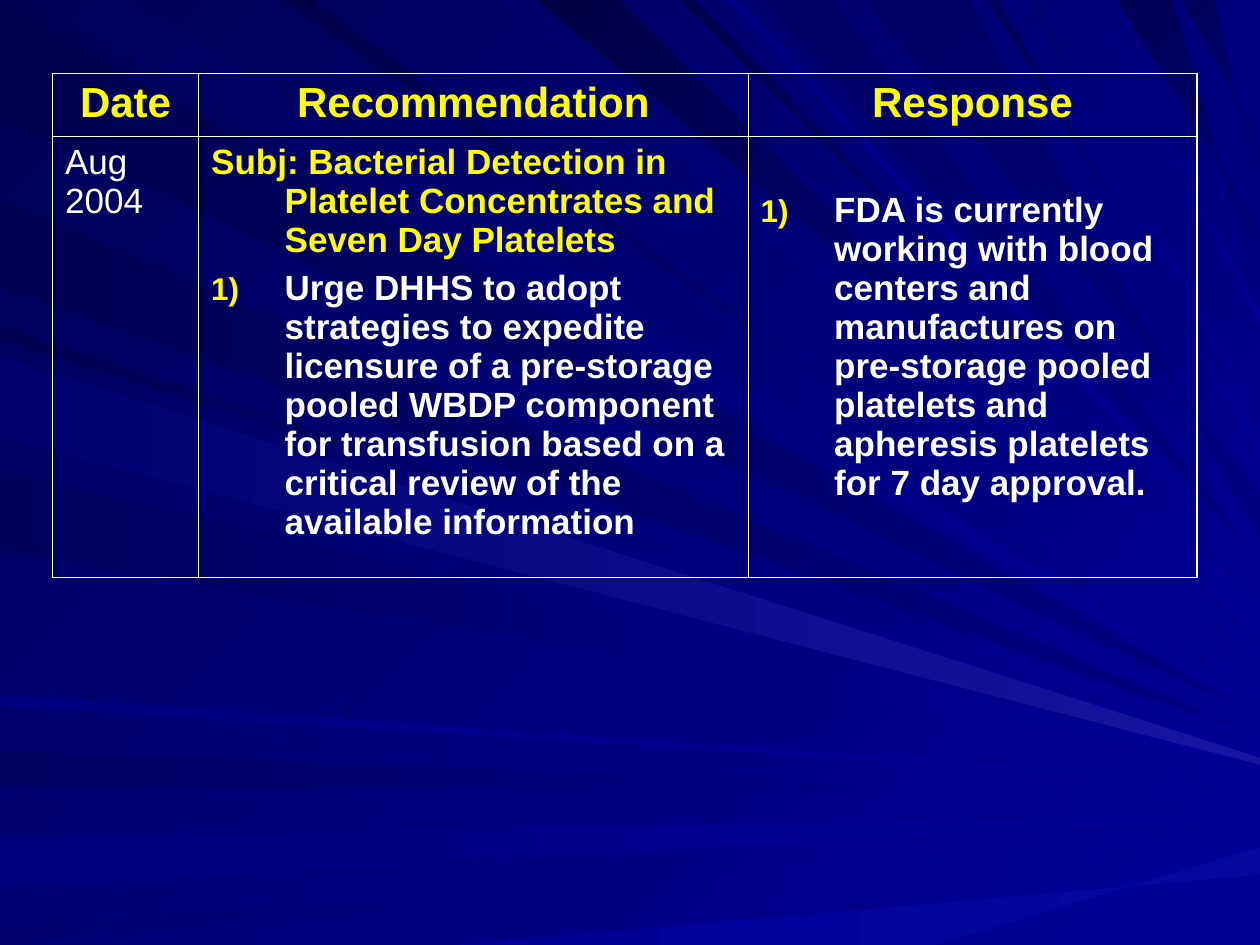
from typing import NamedTuple, Optional

from lxml import etree
from pptx import Presentation
from pptx import util as u
from pptx.dml import color as dml
from pptx.enum import text
from pptx.oxml import ns

WIDTH, HEIGHT = 720, 540
YELLOW, WHITE = "FFFF00", "FFFFFF"
BRIGHT, MEDIUM, PALE = "000099", "000080", "1616A1"
OUTER, INNER = 1.08, 0.45  # table rule widths
HANGING = 42
MARGIN = 3.6
# Gradient direction by the edge a ray leaves from, counter-clockwise
DIRECTIONS = {"top": 135, "left": 180, "bottom": 180}


class Ray(NamedTuple):
    """A beam from a stretch of one slide edge to the right edge."""
    edge: str
    start: float
    end: float
    tip: float
    dark: str
    bright: str = BRIGHT
    tip_width: float = 0


class Entry(NamedTuple):
    words: str
    size: float = 20
    color: str = WHITE
    bold: bool = True
    align: Optional[text.PP_ALIGN] = None
    hanging: bool = False
    numbered: bool = False


class Column(NamedTuple):
    width: float
    heading: str
    entries: list
    top_margin: float = MARGIN


RAYS = [
    Ray("left", 1, 67, 410, "000051", MEDIUM),
    Ray("top", 19, 73, 405, "00005C"),
    Ray("left", 429, 449, 455, "000060"),
    Ray("left", 479, 507, 466, "00007C"),
    Ray("left", 529, 540, 477, "00006E"),
    Ray("bottom", 262, 534, 492, BRIGHT, "07079B", tip_width=16),
    Ray("left", 186, 194, 424, "000053"),
    Ray("left", 114, 164, 421, "000055", MEDIUM),
    Ray("top", 287, 300, 373, "00006A", tip_width=4),
    Ray("top", 307, 354, 355, "000046", tip_width=20),
    Ray("top", 389, 397, 333, "00004E"),
    Ray("top", 436, 476, 321, "000064", MEDIUM),
    Ray("top", 639, 670, 151, "000055", MEDIUM, tip_width=39),
    Ray("top", 676, 694, 101, "000059", MEDIUM, tip_width=38),
    Ray("left", 200, 246, 432, "000060"),
    Ray("left", 269, 315, 436, "00005C"),
    Ray("left", 397, 403, 448, "000081"),
    Ray("top", 162, 178, 396, "00004A", tip_width=4),
    Ray("top", 415, 423, 327, "000081"),
    Ray("top", 494, 554, 295, "000064", MEDIUM, tip_width=27),
    Ray("top", 565, 570, 257, "000057", tip_width=4),
    Ray("top", 587, 593, 242, "00006E"),
    Ray("top", 623, 628, 183, "000078", tip_width=6),
    Ray("left", 204, 250, 435, "00006E", PALE, tip_width=4),
]

COLUMNS = [
    Column(83.5, "Date", [Entry("Aug 2004", bold=False)]),
    Column(314, "Recommendation", [
        Entry("Subj: Bacterial Detection in Platelet Concentrates and Seven Day Platelets",
              color=YELLOW, hanging=True),
        Entry("Urge DHHS to adopt strategies to expedite licensure of a pre-storage pooled WBDP "
              "component for transfusion based on a critical review of the available information",
              hanging=True, numbered=True),
    ]),
    Column(256.5, "Response", [
        Entry("FDA is currently working with blood centers and manufactures on pre-storage pooled "
              "platelets and apheresis platelets for 7 day approval.", hanging=True, numbered=True),
    ], top_margin=31),
]
ROW_HEIGHTS = [36, 252]


def rgb(value: str) -> dml.RGBColor:
    return dml.RGBColor.from_string(value)


def apply_gradient(fill, bright: str, dark: str, angle: int) -> None:
    fill.gradient()
    fill.gradient_angle = angle
    for stop, value in zip(fill.gradient_stops, (bright, dark)):
        stop.color.rgb = rgb(value)


def edge_point(edge: str, distance: float) -> tuple:
    places = {"top": (distance, 0), "left": (0, distance), "bottom": (distance, HEIGHT)}
    return places[edge]


def draw_ray(shapes, ray: Ray) -> None:
    half = ray.tip_width / 2
    tips = [(WIDTH, ray.tip - half), (WIDTH, ray.tip + half)]
    if ray.edge == "top":
        tips.reverse()
    base = [edge_point(ray.edge, ray.start), edge_point(ray.edge, ray.end)]
    if ray.edge != "left":
        tips = sorted(tips, reverse=True)
    else:
        base.reverse()
    if ray.edge == "bottom":
        base.reverse()
    corners = [(u.Pt(x), u.Pt(y)) for x, y in base + tips]
    builder = shapes.build_freeform(*corners[0], scale=1.0)
    builder.add_line_segments(corners[1:], close=True)
    shape = builder.convert_to_shape()
    shape.shadow.inherit = False
    shape.line.fill.background()
    apply_gradient(shape.fill, ray.bright, ray.dark, DIRECTIONS[ray.edge])


def add_number(properties) -> None:
    bullet_color = etree.SubElement(properties, ns.qn("a:buClr"))
    etree.SubElement(bullet_color, ns.qn("a:srgbClr"), val=YELLOW)
    etree.SubElement(properties, ns.qn("a:buSzPct"), val="90000")
    etree.SubElement(properties, ns.qn("a:buFont"), typeface="Arial")
    etree.SubElement(properties, ns.qn("a:buAutoNum"), type="arabicParenR")


def write_entry(paragraph, entry: Entry, first: bool) -> None:
    properties = paragraph._p.get_or_add_pPr()
    if entry.hanging:
        properties.set("marL", str(u.Pt(HANGING)))
        properties.set("indent", str(-u.Pt(HANGING)))
    if entry.numbered:
        add_number(properties)
    paragraph.alignment = entry.align
    paragraph.space_before = u.Pt(0 if first else 5)
    run = paragraph.add_run()
    run.text = entry.words
    formats = {"name": "Arial", "size": u.Pt(entry.size), "bold": entry.bold}
    for name, value in formats.items():
        setattr(run.font, name, value)
    run.font.color.rgb = rgb(entry.color)


def add_borders(cell, widths: dict) -> None:
    properties = cell._tc.get_or_add_tcPr()
    for position, (side, width) in enumerate(widths.items()):
        line = etree.Element(ns.qn(f"a:ln{side}"), w=str(u.Pt(width)))
        fill = etree.SubElement(line, ns.qn("a:solidFill"))
        etree.SubElement(fill, ns.qn("a:srgbClr"), val=WHITE)
        properties.insert(position, line)


def fill_cell(cell, entries: list, top_margin: float = MARGIN) -> None:
    cell.margin_top = u.Pt(top_margin)
    cell.fill.background()
    frame = cell.text_frame
    for index, entry in enumerate(entries):
        paragraph = frame.add_paragraph() if index else frame.paragraphs[0]
        write_entry(paragraph, entry, first=index == 0)


def draw_table(slide) -> None:
    width = sum(column.width for column in COLUMNS)
    frame = slide.shapes.add_table(len(ROW_HEIGHTS), len(COLUMNS), u.Pt(30), u.Pt(42),
                                   u.Pt(width), u.Pt(sum(ROW_HEIGHTS)))
    table = frame.table
    table.first_row = table.horz_banding = False
    for row, height in zip(table.rows, ROW_HEIGHTS):
        row.height = u.Pt(height)
    last = len(COLUMNS) - 1
    for index, column in enumerate(COLUMNS):
        table.columns[index].width = u.Pt(column.width)
        heading = Entry(column.heading, size=24, color=YELLOW, align=text.PP_ALIGN.CENTER)
        fill_cell(table.cell(0, index), [heading])
        fill_cell(table.cell(1, index), column.entries, column.top_margin)
        for row in range(2):
            outer_sides = {"L": index == 0, "R": index == last, "T": row == 0, "B": row == 1}
            add_borders(table.cell(row, index),
                        {side: OUTER if outer else INNER for side, outer in outer_sides.items()})


def main() -> None:
    presentation = Presentation()
    presentation.slide_width, presentation.slide_height = u.Pt(WIDTH), u.Pt(HEIGHT)
    slide = presentation.slides.add_slide(presentation.slide_layouts[6])

    # Background with light rays
    apply_gradient(slide.background.fill, BRIGHT, "000057", DIRECTIONS["top"])
    rays = slide.shapes.add_group_shape()
    for ray in RAYS:
        draw_ray(rays.shapes, ray)

    # Recommendation table
    draw_table(slide)
    presentation.save("out.pptx")


if __name__ == "__main__":
    main()
